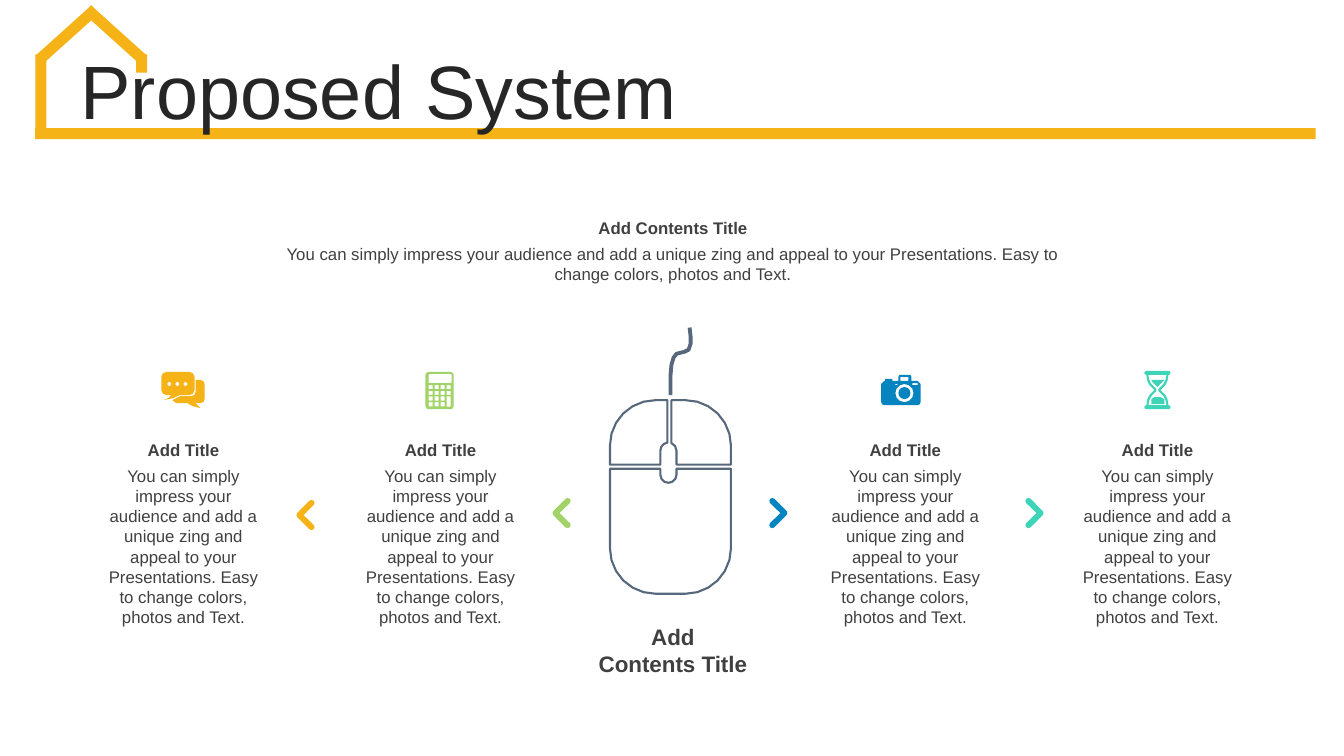
from math import cos, radians, sin
from pptx import Presentation
from pptx.dml.color import RGBColor
from pptx.enum.shapes import MSO_SHAPE
from pptx.enum.text import MSO_ANCHOR, PP_ALIGN
from pptx.util import Inches, Pt

GOLD = RGBColor(0xF5, 0xB3, 0x17)
GREEN = RGBColor(0xA2, 0xD3, 0x68)
BLUE = RGBColor(0x06, 0x84, 0xBF)
TEAL = RGBColor(0x3E, 0xD4, 0xB7)
SLATE = RGBColor(0x57, 0x68, 0x7C)
INK = RGBColor(0x26, 0x26, 0x26)
GRAY = RGBColor(0x40, 0x40, 0x40)
BLURB = ("You can simply impress your audience and add a unique zing and "
         "appeal to your Presentations. Easy to change colors, photos and Text.")


def arc(x, y, r, start, end):
    """Points on a circle around (x, y); degrees run clockwise from the right."""
    if r == 0:
        return [(x, y)]
    fine = 6 if r > 0.2 else 3 if r > 0.05 else 2
    steps = max(1, round(abs(end - start) / 90 * fine))
    turns = [radians(start + (end - start) * i / steps) for i in range(steps + 1)]
    return [(x + r * cos(t), y + r * sin(t)) for t in turns]


def ring(x, y, w, h, r=0):
    """Points of a box with corners of radius r."""
    return (arc(x + r, y + r, r, 180, 270) + arc(x + w - r, y + r, r, 270, 360)
            + arc(x + w - r, y + h - r, r, 0, 90) + arc(x + r, y + h - r, r, 90, 180))


def disc(x, y, r):
    return arc(x, y, r, 0, 360)[:-1]


def trace(slide, left, top, loops, fill=None, line=None, close=True):
    """Draw loops of points, in inches from (left, top), as one shape."""
    pen = None
    for loop in loops:
        dots = [(Inches(left + x), Inches(top + y)) for x, y in loop]
        if pen is None:
            pen = slide.shapes.build_freeform(*dots[0])
        else:
            pen.move_to(*dots[0])
        pen.add_line_segments(dots[1:], close=close)
    paint(pen.convert_to_shape(), fill, line)


def paint(shape, fill=None, line=None):
    shape.shadow.inherit = False
    if fill is None:
        shape.fill.background()
    else:
        shape.fill.solid()
        shape.fill.fore_color.rgb = fill
    if line is None:
        shape.line.fill.background()
    else:
        shape.line.color.rgb = SLATE
        shape.line.width = Pt(line)


def write(slide, box, lines, size=12, bold=False, color=GRAY, align=PP_ALIGN.CENTER):
    frame = slide.shapes.add_textbox(*map(Inches, box)).text_frame
    frame.word_wrap = True
    for i, line in enumerate(lines):
        para = frame.add_paragraph() if i else frame.paragraphs[0]
        para.alignment = align
        run = para.add_run()
        run.text = line
        font = run.font
        font.name, font.size, font.bold = "Arial", Pt(size), bold
        font.color.rgb = color
    return frame


def header(slide, left, top):
    """House outline with a long base, and the slide title."""
    bars = [(0, 1.3, 12.7, 0.11, 0), (0, 0.57, 0.11, 0.8, 0), (1, 0.57, 0.11, 0.18, 0),
            (0.26, 0, 0.11, 0.75, 48), (0.74, 0, 0.11, 0.75, 312)]
    for x, y, w, h, turn in bars:
        bar = slide.shapes.add_shape(MSO_SHAPE.RECTANGLE, Inches(left + x),
                                     Inches(top + y), Inches(w), Inches(h))
        bar.rotation = turn
        paint(bar, GOLD)
    frame = write(slide, (left + 0.35, top + 0.58, 12.31, 0.79), ["Proposed System"],
                  54, color=INK, align=PP_ALIGN.LEFT)
    frame.vertical_anchor = MSO_ANCHOR.MIDDLE
    frame.paragraphs[0].line_spacing = 0.9


def block(slide, left, top, width, height, title):
    """Bold title over the blurb."""
    write(slide, (left, top + 0.26, width, height), [BLURB])
    write(slide, (left, top, width, 0.3), [title], bold=True)


def mouse(slide, left, top):
    base = ([(0, 0.68), (0.5, 0.68)] + arc(0.58, 0.74, 0.08, 180, 0)
            + [(0.66, 0.68), (1.2, 0.68)] + arc(0.75, 1.47, 0.45, 0, 90)
            + arc(0.45, 1.47, 0.45, 90, 180))
    right = ([(0.61, 0)] + arc(0.75, 0.45, 0.45, 270, 360)
             + [(1.2, 0.64), (0.66, 0.64)] + arc(0.58, 0.5, 0.08, 0, -68))
    near = ([(0.57, 0)] + arc(0.58, 0.5, 0.08, 263, 180)
            + [(0.5, 0.64), (0, 0.64)] + arc(0.45, 0.45, 0.45, 180, 270))
    trace(slide, left, top, [base, right, near], line=1.5)
    cord = [(0, 0.67), (0, 0.48), (0.01, 0.37), (0.03, 0.3), (0.06, 0.26),
            (0.14, 0.24), (0.18, 0.22), (0.2, 0.16), (0.2, 0.09), (0.19, 0)]
    trace(slide, left + 0.6, top - 0.72, [cord], line=2.75, close=False)


def arrow(slide, left, top, color, back):
    """Round-ended chevron, pointing left when back is true."""
    dots = (arc(0.03, 0.03, 0.03, 135, 315) + arc(0.15, 0.15, 0.03, -45, 45)
            + arc(0.03, 0.27, 0.03, 45, 225) + [(0.11, 0.15)])
    if back:
        dots = [(0.18 - x, y) for x, y in dots]
    trace(slide, left, top, [dots], color)


def chat():
    front = (arc(0.05, 0.05, 0.05, 180, 270) + arc(0.28, 0.05, 0.05, 270, 360)
             + arc(0.28, 0.18, 0.05, 0, 90)
             + [(0.18, 0.23), (0.12, 0.26), (0.02, 0.28), (0.07, 0.26), (0.1, 0.23)]
             + arc(0.05, 0.18, 0.05, 90, 180))
    rear = ([(0.34, 0.08)] + arc(0.39, 0.12, 0.04, 270, 360)
            + arc(0.39, 0.27, 0.04, 0, 90)
            + [(0.34, 0.31), (0.39, 0.36), (0.31, 0.34), (0.26, 0.31),
               (0.15, 0.31), (0.11, 0.28), (0.19, 0.24)]
            + arc(0.3, 0.2, 0.04, 90, 0))
    return [front, rear] + [disc(0.08 + 0.08 * i, 0.12, 0.02) for i in range(3)]


def counter():
    """Calculator whose last key spans two rows."""
    loops = [ring(0, 0, 0.28, 0.37, 0.03), ring(0.03, 0.02, 0.23, 0.09, 0.01)]
    for row in range(4):
        for col in range(4):
            if (row, col) != (3, 3):
                tall = 0.1 if (row, col) == (2, 3) else 0.04
                loops.append(ring(0.03 + 0.06 * col, 0.13 + 0.057 * row, 0.04, tall))
    return loops


def camera():
    case = ([(0, 0.09), (0.03, 0.06), (0.04, 0.06), (0.04, 0.04), (0.11, 0.04),
             (0.11, 0.06), (0.17, 0.06), (0.17, 0.02), (0.18, 0), (0.29, 0),
             (0.3, 0.02), (0.3, 0.06), (0.36, 0.06), (0.39, 0.09)]
            + arc(0.36, 0.27, 0.03, 0, 90) + arc(0.03, 0.27, 0.03, 90, 180))
    slots = [(0.14, 0.09, 0.02, 0.01), (0.31, 0.08, 0.05, 0.02), (0.19, 0.02, 0.08, 0.04)]
    return ([case, disc(0.23, 0.18, 0.09), disc(0.23, 0.18, 0.06)]
            + [ring(*slot) for slot in slots])


def timer():
    """Hourglass with sand in both halves."""
    side = [(0.24, 0.04), (0.23, 0.1), (0.21, 0.14), (0.16, 0.19),
            (0.21, 0.24), (0.23, 0.28), (0.24, 0.34)]
    case = (arc(0.02, 0.02, 0.02, 90, 270) + arc(0.24, 0.02, 0.02, -90, 90) + side
            + arc(0.24, 0.36, 0.02, -90, 90) + arc(0.02, 0.36, 0.02, 90, 270)
            + [(0.26 - x, y) for x, y in reversed(side)])
    edge = [(0.22, 0.04), (0.21, 0.09), (0.19, 0.13), (0.14, 0.18),
            (0.14, 0.2), (0.19, 0.25), (0.21, 0.29), (0.22, 0.34)]
    glass = edge + [(0.26 - x, y) for x, y in reversed(edge)]
    upper = [(0.07, 0.09), (0.2, 0.09), (0.18, 0.11), (0.13, 0.16), (0.08, 0.11)]
    lower = [(0.07, 0.33), (0.07, 0.28), (0.1, 0.26), (0.16, 0.26), (0.2, 0.28), (0.2, 0.33)]
    return [case, glass, upper, lower]


def main():
    deck = Presentation()
    deck.slide_width, deck.slide_height = Inches(13.33), Inches(7.5)
    slide = deck.slides.add_slide(deck.slide_layouts[6])
    header(slide, 0.35, -0.03)
    mouse(slide, 6.05, 3.97)
    block(slide, 2.58, 2.11, 8.19, 0.5, "Add Contents Title")
    items = [(0.96, chat, 1.6, 3.69, GOLD, 2.94, 4.96, True),
             (3.51, counter, 4.22, 3.69, GREEN, 5.48, 4.94, True),
             (8.12, camera, 8.74, 3.72, BLUE, 7.63, 4.94, False),
             (10.62, timer, 11.35, 3.68, TEAL, 10.17, 4.94, False)]
    for left, icon, x, y, color, tip, row, back in items:
        block(slide, left, 4.31, 1.72, 1.72, "Add Title")
        trace(slide, x, y, icon(), color)
        arrow(slide, tip, row, color, back)
    write(slide, (5.71, 6.13, 1.93, 0.64), ["Add", "Contents Title"], 16, True)
    deck.save("out.pptx")


if __name__ == "__main__":
    main()
